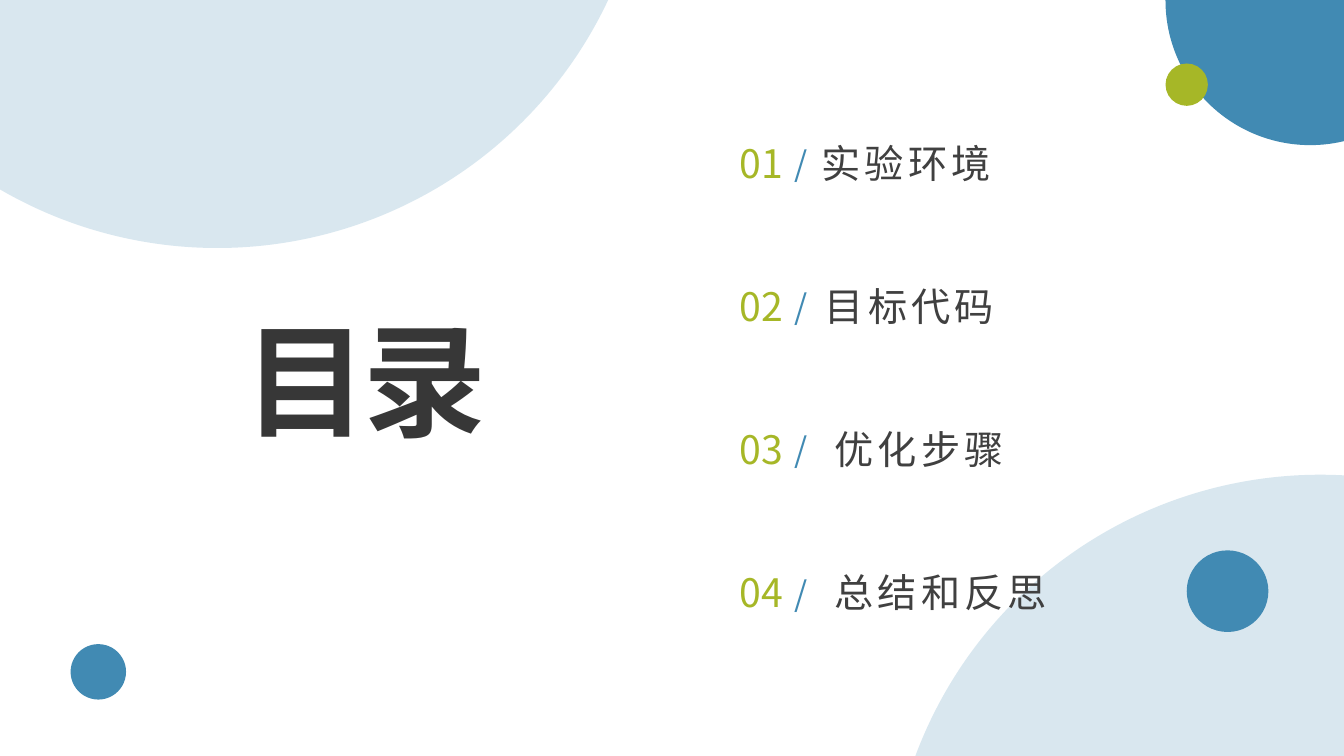
import dataclasses

import lxml.etree
import pptx
import pptx.dml.color
import pptx.enum.shapes
import pptx.enum.text
import pptx.oxml.ns
import pptx.util

PX = 9144  # EMU per px, 100 px to the inch
FONT = "Noto Sans CJK SC"
COLORS = {
    "blue": "418AB3",
    "green": "A6B727",
    "heading": "373737",
    "label": "404040",
}
ALIGN = pptx.enum.text.PP_ALIGN
ROW_TOP, ROW_PITCH = 133, 142


@dataclasses.dataclass(frozen=True)
class Circle:
    left: int
    top: int
    diameter: int
    color: str
    opacity: int = 100


@dataclasses.dataclass(frozen=True)
class TextStyle:
    size: int
    color: str
    spacing: int = 0
    bold: bool = False
    align: ALIGN = ALIGN.CENTER


@dataclasses.dataclass(frozen=True)
class Chapter:
    title: str
    left: int
    width: int
    style: TextStyle


LABEL = TextStyle(28, "label", spacing=3)
NUMBER = TextStyle(28, "green")
SLASH = TextStyle(24, "blue", spacing=3)
HEADING = TextStyle(88, "heading", spacing=-3, bold=True, align=ALIGN.JUSTIFY)

CIRCLES = [
    Circle(881, 471, 857, "blue", opacity=20),
    Circle(1156, -143, 287, "blue"),
    Circle(70, 639, 55, "blue"),
    Circle(-213, -611, 857, "blue", opacity=20),
    Circle(1156, 63, 42, "green"),
    Circle(1177, 546, 81, "blue"),
]
CHAPTERS = [
    Chapter("实验环境", 805, 194, dataclasses.replace(LABEL, align=ALIGN.LEFT)),
    Chapter("目标代码", 805, 194, LABEL),
    Chapter("优化步骤", 811, 201, LABEL),
    Chapter("总结和反思", 814, 238, LABEL),
]


def rgb(color: str) -> pptx.dml.color.RGBColor:
    return pptx.dml.color.RGBColor.from_string(COLORS[color])


def add_circle(slide, circle: Circle) -> None:
    size = circle.diameter * PX
    disc = slide.shapes.add_shape(
        pptx.enum.shapes.MSO_SHAPE.FLOWCHART_CONNECTOR,
        circle.left * PX, circle.top * PX, size, size,
    )
    disc.shadow.inherit = False
    disc.line.fill.background()
    disc.fill.solid()
    disc.fill.fore_color.rgb = rgb(circle.color)
    if circle.opacity < 100:
        fill_color = disc.fill._xPr.find(".//" + pptx.oxml.ns.qn("a:srgbClr"))
        alpha = lxml.etree.SubElement(fill_color, pptx.oxml.ns.qn("a:alpha"))
        alpha.set("val", str(circle.opacity * 1000))


def write_text(frame, text: str, style: TextStyle, wrap: bool = False) -> None:
    """Fill a frame with one line, centred vertically in its box."""
    frame_format = {
        "word_wrap": wrap,
        "auto_size": pptx.enum.text.MSO_AUTO_SIZE.NONE,
        "vertical_anchor": pptx.enum.text.MSO_ANCHOR.MIDDLE,
        "margin_top": 0,
        "margin_bottom": 0,
    }
    for name, value in frame_format.items():
        setattr(frame, name, value)
    paragraph = frame.paragraphs[0]
    paragraph.alignment = style.align
    run = paragraph.add_run()
    run.text = text
    font_format = {
        "name": FONT,
        "size": pptx.util.Pt(style.size),
        "bold": style.bold,
    }
    for name, value in font_format.items():
        setattr(run.font, name, value)
    run.font.color.rgb = rgb(style.color)
    properties = run._r.get_or_add_rPr()
    properties.set("spc", str(style.spacing * 100))
    east_asian = lxml.etree.SubElement(properties, pptx.oxml.ns.qn("a:ea"))
    east_asian.set("typeface", FONT)


def add_label(slide, text: str, style: TextStyle,
              left: int, top: int, width: int, height: int) -> None:
    box = slide.shapes.add_textbox(left * PX, top * PX, width * PX, height * PX)
    write_text(box.text_frame, text, style)


def add_chapter(slide, index: int, chapter: Chapter) -> None:
    top = ROW_TOP + index * ROW_PITCH
    add_label(slide, chapter.title, chapter.style, chapter.left, top, chapter.width, 57)
    add_label(slide, f"{index + 1:02d}", NUMBER, 722, top, 66, 57)
    add_label(slide, "/", SLASH, 775, top + 4, 39, 50)


def add_heading(slide, text: str) -> None:
    heading = slide.shapes.title
    position = {"left": 233, "top": 296, "width": 281, "height": 158}
    for name, value in position.items():
        setattr(heading, name, value * PX)
    write_text(heading.text_frame, text, HEADING, wrap=True)


def main() -> None:
    deck = pptx.Presentation()
    deck.slide_width, deck.slide_height = 1333 * PX, 750 * PX
    contents = deck.slides.add_slide(deck.slide_layouts.get_by_name("Title Only"))
    for circle in CIRCLES:
        add_circle(contents, circle)
    for index, chapter in enumerate(CHAPTERS):
        add_chapter(contents, index, chapter)
    add_heading(contents, "目录")
    deck.save("out.pptx")


if __name__ == "__main__":
    main()
